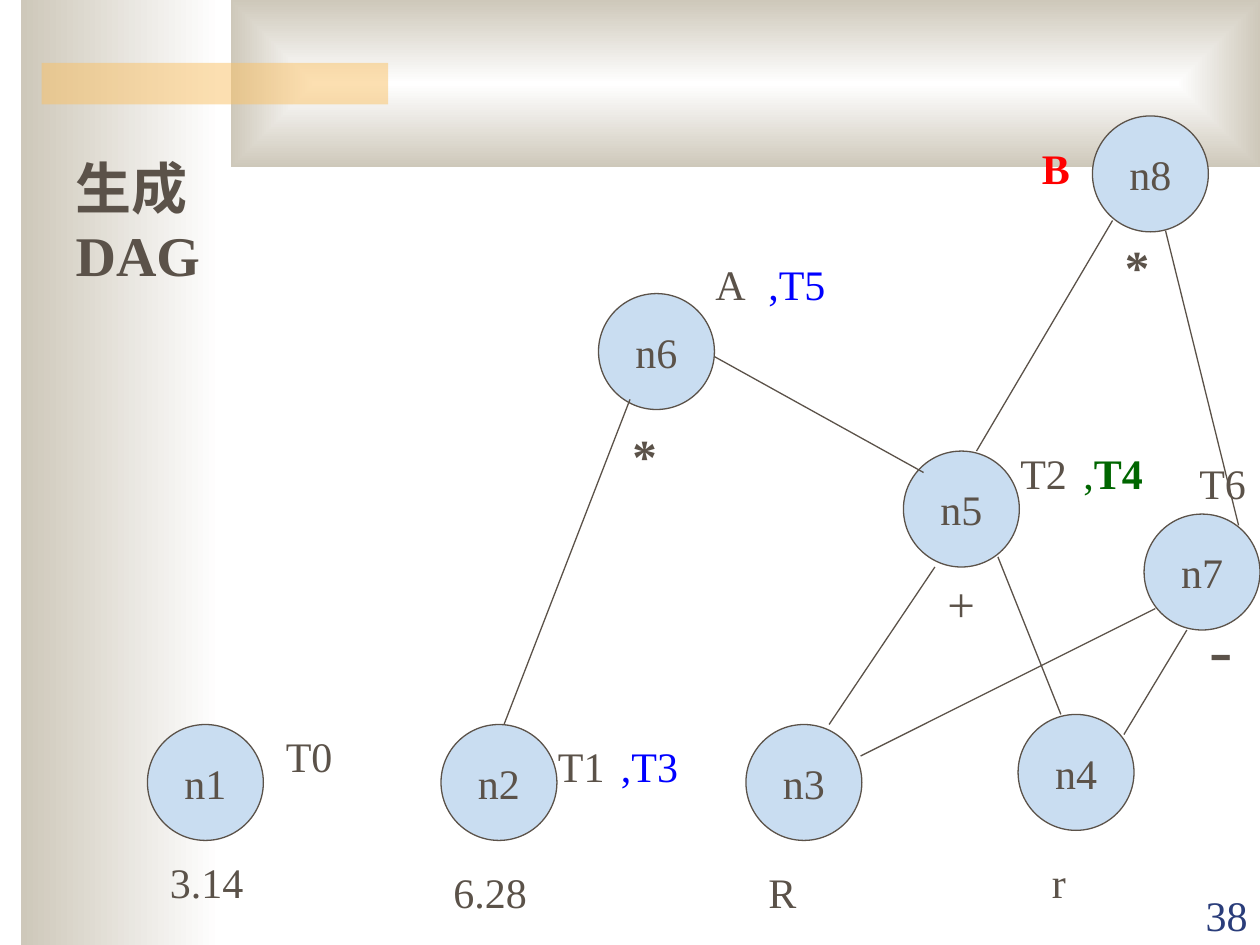
from dataclasses import dataclass

from lxml import etree
from pptx import Presentation
from pptx import util as u
from pptx.dml.color import RGBColor
from pptx.enum import shapes, text
from pptx.oxml.ns import qn

Inches = u.Inches


@dataclass(frozen=True)
class Theme:
    font: str = "Times New Roman"
    ink: str = "5B5249"
    node: str = "C9DDF1"
    paper: str = "FFFFFF"
    stone: str = "CEC8BA"
    accent: str = "FAC164"
    blue: str = "0000FF"
    green: str = "006600"
    red: str = "FF0000"
    navy: str = "2A3D7A"
    body: int = 24
    operator: int = 28
    title: int = 32
    minus: int = 40
    line: float = 0.75


theme = Theme()


def write(sp, words, size=theme.body, color=theme.ink, bold=False,
          align=text.PP_ALIGN.LEFT, anchor=text.MSO_ANCHOR.TOP, wrap=True):
    """Append a formatted run to the first paragraph of a shape."""
    tf = sp.text_frame
    tf.word_wrap = wrap
    tf.vertical_anchor = anchor
    p = tf.paragraphs[0]
    p.alignment = align
    r = p.add_run()
    r.text = words
    r.font.name = theme.font
    r.font.size = u.Pt(size)
    r.font.bold = bold
    r.font.color.rgb = RGBColor.from_string(color)


def add_shape(s, kind, left, top, width, height):
    """Add a preset shape with neither outline nor shadow."""
    sp = s.shapes.add_shape(kind, Inches(left), Inches(top), Inches(width), Inches(height))
    sp.shadow.inherit = False
    sp.line.fill.background()
    return sp


prs = Presentation()
prs.slide_width, prs.slide_height = Inches(10), Inches(7.5)
s = prs.slides.add_slide(prs.slide_layouts[5])

# Background bands
side = add_shape(s, shapes.MSO_SHAPE.RECTANGLE, 0.17, 0, 1.58, 7.5)
top_band = add_shape(s, shapes.MSO_SHAPE.RECTANGLE, 1.83, 0, 8.17, 1.33)
for sp in (side, top_band):
    sp.fill.gradient()
    sp.fill.gradient_angle = 180
    for stop, position, color in zip(sp.fill.gradient_stops, (0, 1), (theme.paper, theme.stone)):
        stop.position = position
        stop.color.rgb = RGBColor.from_string(color)

# The top band shades from its centre to its edges
lin = top_band.element.find(".//" + qn("a:lin"))
rect = etree.Element(qn("a:path"), {"path": "rect"})
etree.SubElement(rect, qn("a:fillToRect"), dict.fromkeys("ltrb", "50000"))
lin.getparent().replace(lin, rect)

# Half-transparent accent bar
bar = add_shape(s, shapes.MSO_SHAPE.RECTANGLE, 0.33, 0.5, 2.75, 0.33)
bar.fill.solid()
bar.fill.fore_color.rgb = RGBColor.from_string(theme.accent)
color = bar.element.spPr.find(".//" + qn("a:srgbClr"))
etree.SubElement(color, qn("a:alpha"), {"val": "50000"})

# Graph nodes: name, left, top
nodes = [
    ("n1", 1.17, 5.75), ("n7", 9.08, 4.08), ("n2", 3.5, 5.75), ("n6", 4.75, 2.33),
    ("n8", 8.67, 0.92), ("n5", 7.17, 3.58), ("n3", 5.92, 5.75), ("n4", 8.08, 5.67),
]
for name, left, top in nodes:
    sp = add_shape(s, shapes.MSO_SHAPE.OVAL, left, top, 0.92, 0.92)
    sp.fill.solid()
    sp.fill.fore_color.rgb = RGBColor.from_string(theme.node)
    sp.line.color.rgb = RGBColor.from_string(theme.ink)
    sp.line.width = u.Pt(theme.line)
    write(sp, name, align=text.PP_ALIGN.CENTER, anchor=text.MSO_ANCHOR.MIDDLE, wrap=False)

# Edges between nodes: start x, y, end x, y
edges = [
    (7.42, 4.5, 6.58, 5.75), (7.92, 4.42, 8.42, 5.67),
    (5, 3.17, 4, 5.75), (5.67, 2.83, 7.33, 3.75),
    (9.17, 4.83, 6.83, 6), (9.42, 5, 8.92, 5.83),
    (8.83, 1.75, 7.75, 3.58), (9.25, 1.83, 9.83, 4.17),
]
for ends in edges:
    c = s.shapes.add_connector(shapes.MSO_CONNECTOR.STRAIGHT, *map(Inches, ends))
    c.line.color.rgb = RGBColor.from_string(theme.ink)
    c.line.width = u.Pt(theme.line)
    etree.SubElement(c.element.spPr, qn("a:effectLst"))

# Labels: left, top, width, height, then runs of words and format
operator = {"size": theme.operator}
star = {"size": theme.operator, "bold": True}
labels = [
    (1.25, 6.75, 0.83, 0.5, [("3.14", {})]),
    (2.17, 5.75, 0.83, 0.5, [("T0", {})]),
    (3.5, 6.83, 0.92, 0.5, [("6.28", {})]),
    (4.33, 5.83, 0.75, 0.5, [("T1", {})]),
    (6, 6.83, 0.92, 0.5, [("R", {})]),
    (8.25, 6.75, 0.83, 0.5, [("r", {})]),
    (7.42, 4.5, 0.67, 0.57, [("+", operator)]),
    (8, 3.5, 0.67, 0.5, [("T2", {})]),
    (4.92, 3.33, 0.83, 0.57, [("*", star)]),
    (5.58, 2, 0.58, 0.5, [("A", {})]),
    (4.83, 5.83, 0.92, 0.5, [(",T3", {"color": theme.blue})]),
    (8.5, 3.5, 0.83, 0.5, [(",", {"color": theme.green}),
                           ("T4", {"color": theme.green, "bold": True})]),
    (6, 2, 0.92, 0.5, [(",T5", {"color": theme.blue})]),
    (9.5, 4.75, 0.5, 0.77, [("-", {"size": theme.minus})]),
    (9.42, 3.58, 0.58, 0.5, [("T6", {})]),
    (8.83, 1.83, 0.42, 0.57, [("*", star)]),
    (8.17, 1.08, 0.75, 0.5, [("B", {"color": theme.red, "bold": True})]),
    (9, 7.01, 1, 0.5, [("38", {"color": theme.navy, "align": text.PP_ALIGN.RIGHT,
                               "anchor": text.MSO_ANCHOR.BOTTOM})]),
]
for *box, runs in labels:
    sp = s.shapes.add_textbox(*map(Inches, box))
    for words, style in runs:
        write(sp, words, **style)

# Title, brought in front of the bands
title = s.shapes.title
title.left, title.top, title.width, title.height = map(Inches, (0.5, 1.17, 2.25, 1.17))
write(title, "生成", size=theme.title, bold=True)
title.text_frame.paragraphs[0].add_line_break()
write(title, "DAG", size=theme.title, bold=True)
title.text_frame.auto_size = text.MSO_AUTO_SIZE.NONE
s.shapes.element.append(title.element)

prs.save("out.pptx")
